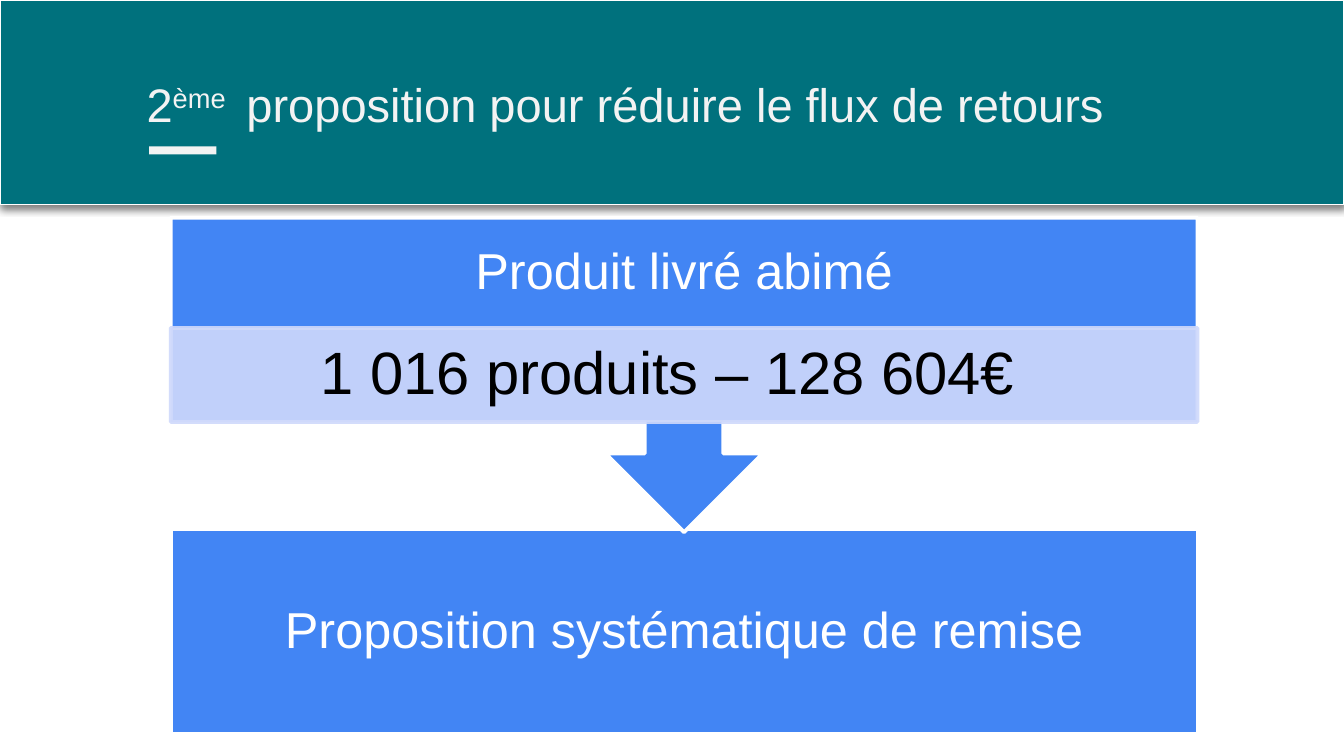
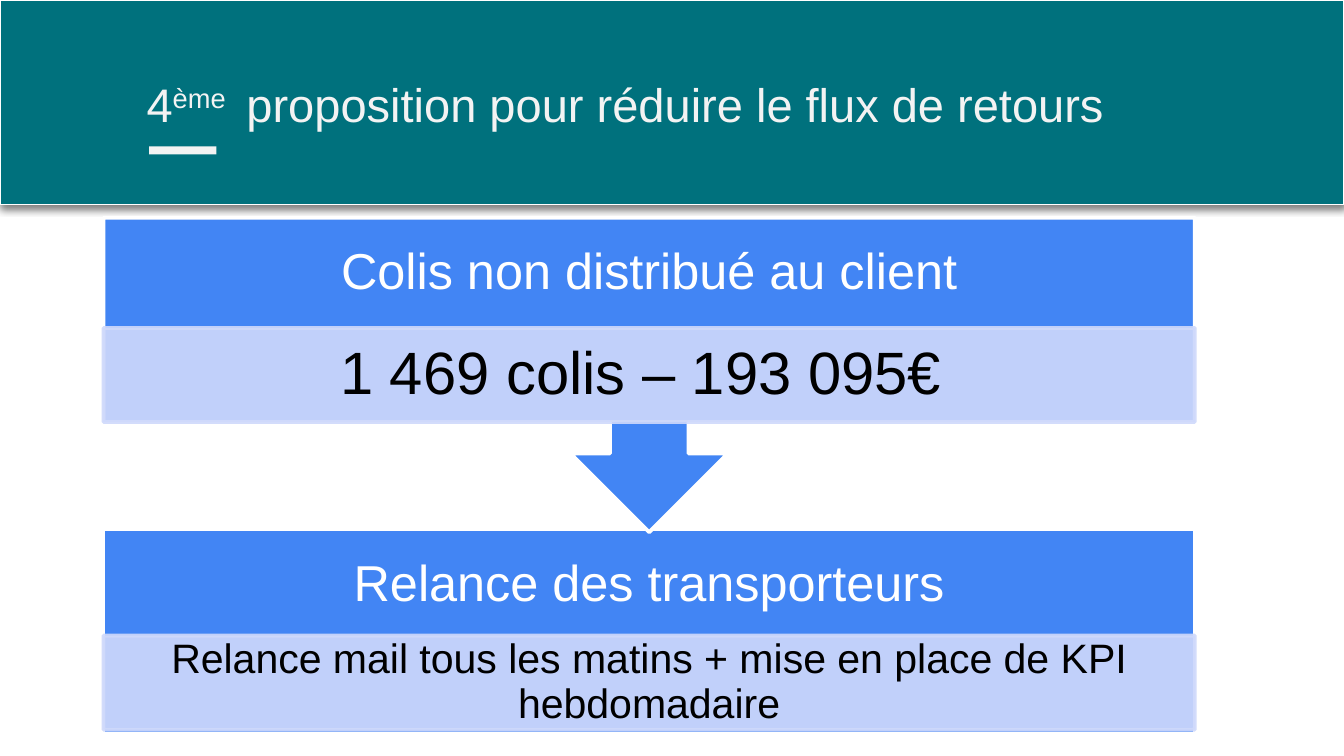
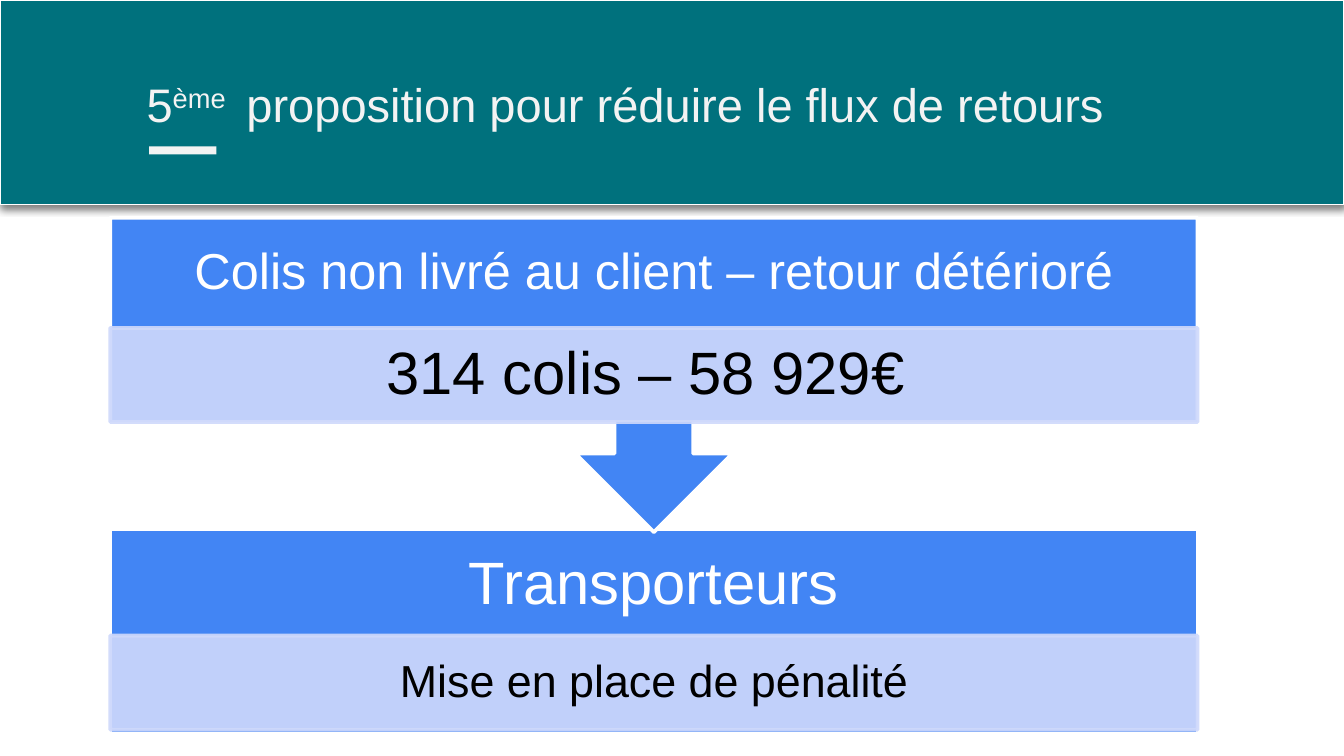
from lxml import etree
from pptx import Presentation
from pptx.dml.color import RGBColor
from pptx.enum.shapes import MSO_SHAPE as SHAPE
from pptx.enum.text import MSO_ANCHOR as ANCHOR, MSO_AUTO_SIZE as AUTO_SIZE, PP_ALIGN as ALIGN
from pptx.oxml.ns import qn
from pptx.util import Inches, Pt

# Content: each step is (heading, heading size, detail, detail size)
TITLE_END = " proposition pour réduire le flux de retours"
SLIDES = [
    {"number": "2", "left": 1.27, "width": 7.64, "nudge": 0.24,
     "problem": ("Produit livré abimé", 27, "1 016 produits – 128 604€", 32),
     "answer": ("Proposition systématique de remise", 27, None, None)},
    {"number": "4", "left": 0.77, "width": 8.12, "nudge": 0.12,
     "problem": ("Colis non distribué au client", 27, "1 469 colis – 193 095€", 32),
     "answer": ("Relance des transporteurs", 27,
                "Relance mail tous les matins + mise en place de KPI hebdomadaire", 22)},
    {"number": "5", "left": 0.82, "width": 8.09, "nudge": 0.12,
     "problem": ("Colis non livré au client – retour détérioré", 27, "314 colis – 58 929€", 32),
     "answer": ("Transporteurs", 32, "Mise en place de pénalité", 24)},
]

# Shared style and vertical layout, in inches
WIDTH, HEIGHT = 10, 5.625
TEAL, BLUE, PALE, LIGHT, WHITE, BLACK = "00717D", "4285F4", "CFD9FB", "F3F3F3", "FFFFFF", "000000"
FONT = "Arial"
BAND_HEIGHT = 1.52
PROBLEM_TOP, CALLOUT_HEIGHT = 1.62, 2.34
ANSWER_TOP, ANSWER_HEIGHT = 3.94, 1.52
HEADING_HEIGHT, DETAIL_HEIGHT = 0.82, 0.7
PROBLEM_DETAIL_TOP, ANSWER_DETAIL_TOP = 2.44, 4.73


def color(value):
    return RGBColor.from_string(value)


def add_box(shapes, kind, place, fill, line=None, line_width=2, opacity=None):
    shape = shapes.add_shape(kind, *map(Inches, place))
    shape.shadow.inherit = False
    shape.fill.solid()
    shape.fill.fore_color.rgb = color(fill)
    if line:
        shape.line.color.rgb = color(line)
        shape.line.width = Pt(line_width)
    else:
        shape.line.fill.background()
    if opacity:
        for rgb in shape._element.spPr.iter(qn("a:srgbClr")):
            etree.SubElement(rgb, qn("a:alpha"), val=str(opacity * 1000))
    return shape


def add_shadow(shape):
    effects = shape._element.spPr.find(qn("a:effectLst"))
    shadow = etree.SubElement(effects, qn("a:outerShdw"), blurRad=str(Pt(4.5)),
                              dist=str(Pt(1.5)), dir=str(90 * 60000), rotWithShape="0")
    rgb = etree.SubElement(shadow, qn("a:srgbClr"), val=BLACK)
    etree.SubElement(rgb, qn("a:alpha"), val="49000")


def write(shape, runs, size, ink, insets, anchor=ANCHOR.MIDDLE, align=ALIGN.CENTER, spacing=0.9):
    """Write runs of (text, baseline shift in percent) as one paragraph."""
    frame = shape.text_frame
    frame.word_wrap = True
    frame.auto_size = AUTO_SIZE.NONE
    frame.vertical_anchor = anchor
    frame.margin_left, frame.margin_top, frame.margin_right, frame.margin_bottom = map(Inches, insets)
    paragraph = frame.paragraphs[0]
    paragraph.alignment = align
    paragraph.line_spacing = spacing
    for text, shift in runs:
        run = paragraph.add_run()
        run.text = text
        run.font.name = FONT
        run.font.size = Pt(size)
        run.font.color.rgb = color(ink)
        if shift:
            run._r.get_or_add_rPr().set("baseline", str(shift * 1000))


def add_header(slide, number):
    band = add_box(slide.shapes, SHAPE.RECTANGLE, (0, 0, WIDTH, BAND_HEIGHT), TEAL, WHITE, 0.75)
    add_shadow(band)
    add_box(slide.shapes, SHAPE.RECTANGLE, (1.11, 1.09, 0.5, 0.06), LIGHT)
    title = slide.shapes.title
    title.left, title.top, title.width, title.height = map(Inches, (0.99, 0.46, 9.32, 0.63))
    write(title, [(number, 0), ("ème ", 30), (TITLE_END, 0)], 25.2, LIGHT, [0.1] * 4,
          anchor=ANCHOR.TOP, align=ALIGN.LEFT, spacing=1)
    slide.shapes._spTree.append(title._element)  # title in front of the band


def add_step(shapes, step, left, width, top, heading_height, detail_top, nudge=0):
    """Heading over the coloured block, then the pale detail strip if there is one."""
    heading, heading_size, detail, detail_size = step
    box = shapes.add_textbox(*map(Inches, (left, top, width, heading_height)))
    write(box, [(heading, 0)], heading_size, WHITE, [heading_size / 128] * 4)
    if detail:
        strip = add_box(shapes, SHAPE.RECTANGLE, (left, detail_top, width, DETAIL_HEIGHT),
                        PALE, PALE, opacity=90)
        side, edge = detail_size / 128, detail_size / 800
        write(strip, [(detail, 0)], detail_size, BLACK, (side, edge, side + nudge, edge))


def add_diagram(slide, content):
    shapes = slide.shapes.add_group_shape().shapes
    left, width = content["left"], content["width"]

    # Answer block
    add_box(shapes, SHAPE.RECTANGLE, (left, ANSWER_TOP, width, ANSWER_HEIGHT), BLUE, WHITE)
    answer = content["answer"]
    height = HEADING_HEIGHT if answer[2] else ANSWER_HEIGHT
    add_step(shapes, answer, left, width, ANSWER_TOP, height, ANSWER_DETAIL_TOP)

    # Problem block, pointing down to the answer
    callout = add_box(shapes, SHAPE.UP_ARROW_CALLOUT,
                      (left, PROBLEM_TOP, width, CALLOUT_HEIGHT), BLUE, WHITE)
    callout.rotation = 180
    add_step(shapes, content["problem"], left, width, PROBLEM_TOP, HEADING_HEIGHT,
             PROBLEM_DETAIL_TOP, content["nudge"])


def main():
    presentation = Presentation()
    presentation.slide_width, presentation.slide_height = Inches(WIDTH), Inches(HEIGHT)
    for content in SLIDES:
        slide = presentation.slides.add_slide(presentation.slide_layouts[5])
        add_header(slide, content["number"])
        add_diagram(slide, content)
    presentation.save("out.pptx")


if __name__ == "__main__":
    main()
